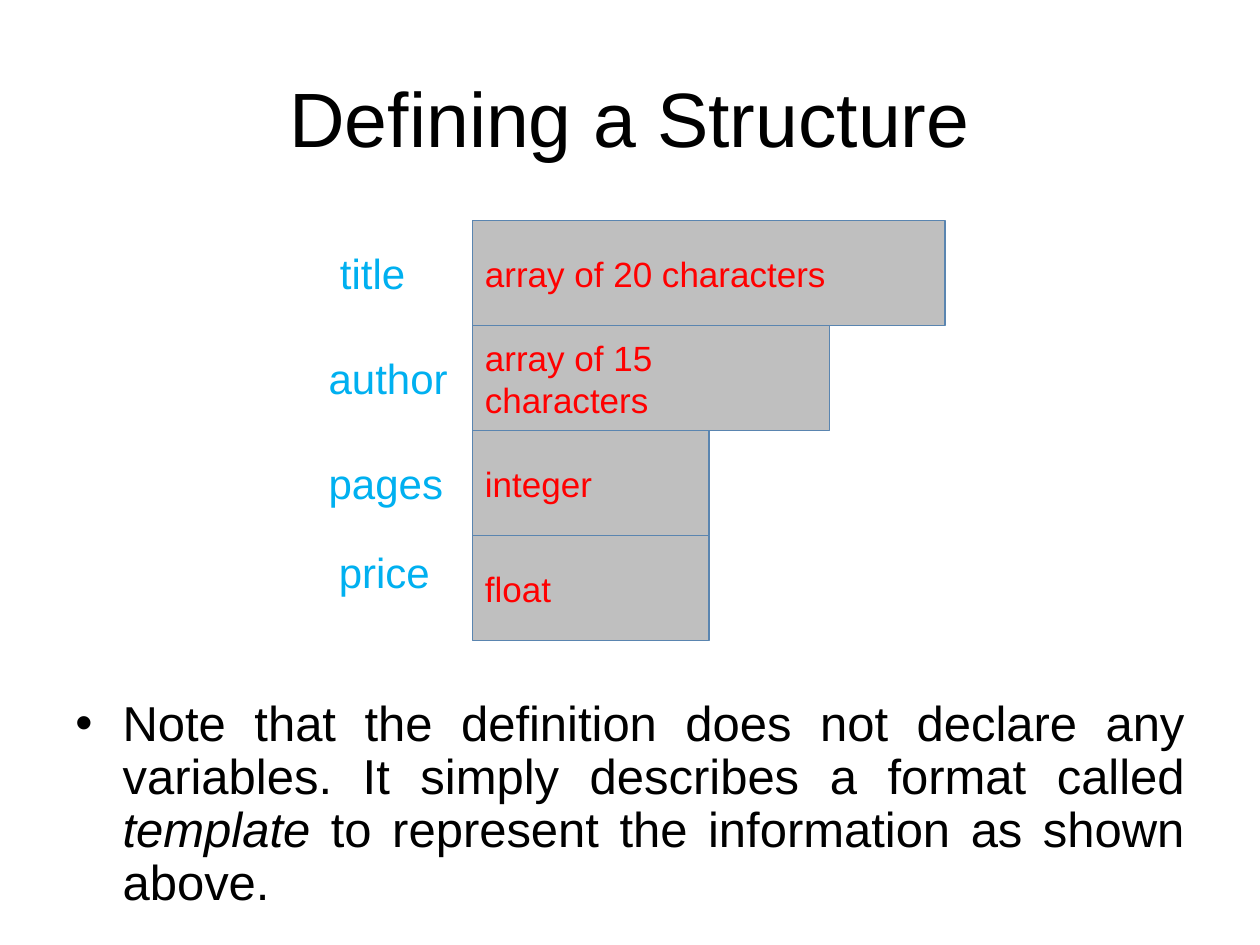
from lxml.etree import SubElement
from pptx import Presentation
from pptx.dml.color import RGBColor
from pptx.enum.shapes import MSO_SHAPE
from pptx.enum.text import MSO_ANCHOR, PP_ALIGN
from pptx.oxml.ns import qn
from pptx.util import Pt

BLACK = RGBColor(0x00, 0x00, 0x00)
GREY = RGBColor(0xBF, 0xBF, 0xBF)
OUTLINE = RGBColor(0x5A, 0x85, 0xB0)
RED = RGBColor(0xFF, 0x00, 0x00)
SKY = RGBColor(0x00, 0xB0, 0xF0)

FIELDS_LEFT, FIELDS_TOP, FIELD_HEIGHT = 270, 126, 60
# member name, name left, top, name width, type, type box width
MEMBERS = [
    ("title", 187.2, 138, 56, "array of 20 characters", 270),
    ("author", 180.7, 198, 86, "array of 15 characters", 204),
    ("pages", 180.7, 258, 84, "integer", 135),
    ("price", 186.5, 309, 70, "float", 135),
]


def set_font(paragraph, size, color):
    paragraph.font.name = "Arial"
    paragraph.font.size = Pt(size)
    paragraph.font.color.rgb = color


def add_text(slide, left, top, width, height):
    box = slide.shapes.add_textbox(Pt(left), Pt(top), Pt(width), Pt(height))
    box.text_frame.word_wrap = True
    return box.text_frame


def add_title(slide, text):
    frame = add_text(slide, 36, 21.6, 648, 90)
    frame.vertical_anchor = MSO_ANCHOR.MIDDLE
    heading = frame.paragraphs[0]
    heading.text = text
    heading.alignment = PP_ALIGN.CENTER
    set_font(heading, 44, BLACK)


def add_member_name(slide, text, left, top, width):
    name = add_text(slide, left, top, width, 36).paragraphs[0]
    name.text = text
    set_font(name, 24, SKY)


def add_member_type(slide, text, top, width):
    field = slide.shapes.add_shape(MSO_SHAPE.RECTANGLE, Pt(FIELDS_LEFT), Pt(top),
                                   Pt(width), Pt(FIELD_HEIGHT))
    field.shadow.inherit = False
    field.fill.solid()
    field.fill.fore_color.rgb = GREY
    field.line.color.rgb = OUTLINE
    field.line.width = Pt(1)
    frame = field.text_frame
    frame.word_wrap = True
    frame.vertical_anchor = MSO_ANCHOR.MIDDLE
    label = frame.paragraphs[0]
    label.text = text
    label.alignment = PP_ALIGN.LEFT
    set_font(label, 20, RED)


def add_bullet(paragraph, indent):
    properties = paragraph._p.get_or_add_pPr()
    properties.set("marL", str(Pt(indent)))
    properties.set("indent", str(-Pt(indent)))
    SubElement(properties, qn("a:buFont"), typeface="Arial")
    SubElement(properties, qn("a:buChar"), char="•")


def add_note(slide, parts):
    """Add the bulleted note; parts are (text, italic) pairs."""
    note = add_text(slide, 36, 396, 648, 132).paragraphs[0]
    add_bullet(note, 27)
    note.alignment = PP_ALIGN.JUSTIFY
    note.line_spacing = 0.9
    set_font(note, 28, BLACK)
    for text, italic in parts:
        run = note.add_run()
        run.text = text
        if italic:
            run.font.italic = True


def main():
    deck = Presentation()
    deck.slide_width, deck.slide_height = Pt(720), Pt(540)
    slide = deck.slides.add_slide(deck.slide_layouts[6])
    add_title(slide, "Defining a Structure")
    add_note(slide, [
        ("Note that the definition does not declare any variables. "
         "It simply describes a format called ", False),
        ("template", True),
        (" to represent the information as shown above.", False),
    ])
    for row, (name, left, top, name_width, kind, type_width) in enumerate(MEMBERS):
        add_member_type(slide, kind, FIELDS_TOP + row * FIELD_HEIGHT, type_width)
        add_member_name(slide, name, left, top, name_width)
    deck.save("out.pptx")


if __name__ == "__main__":
    main()
